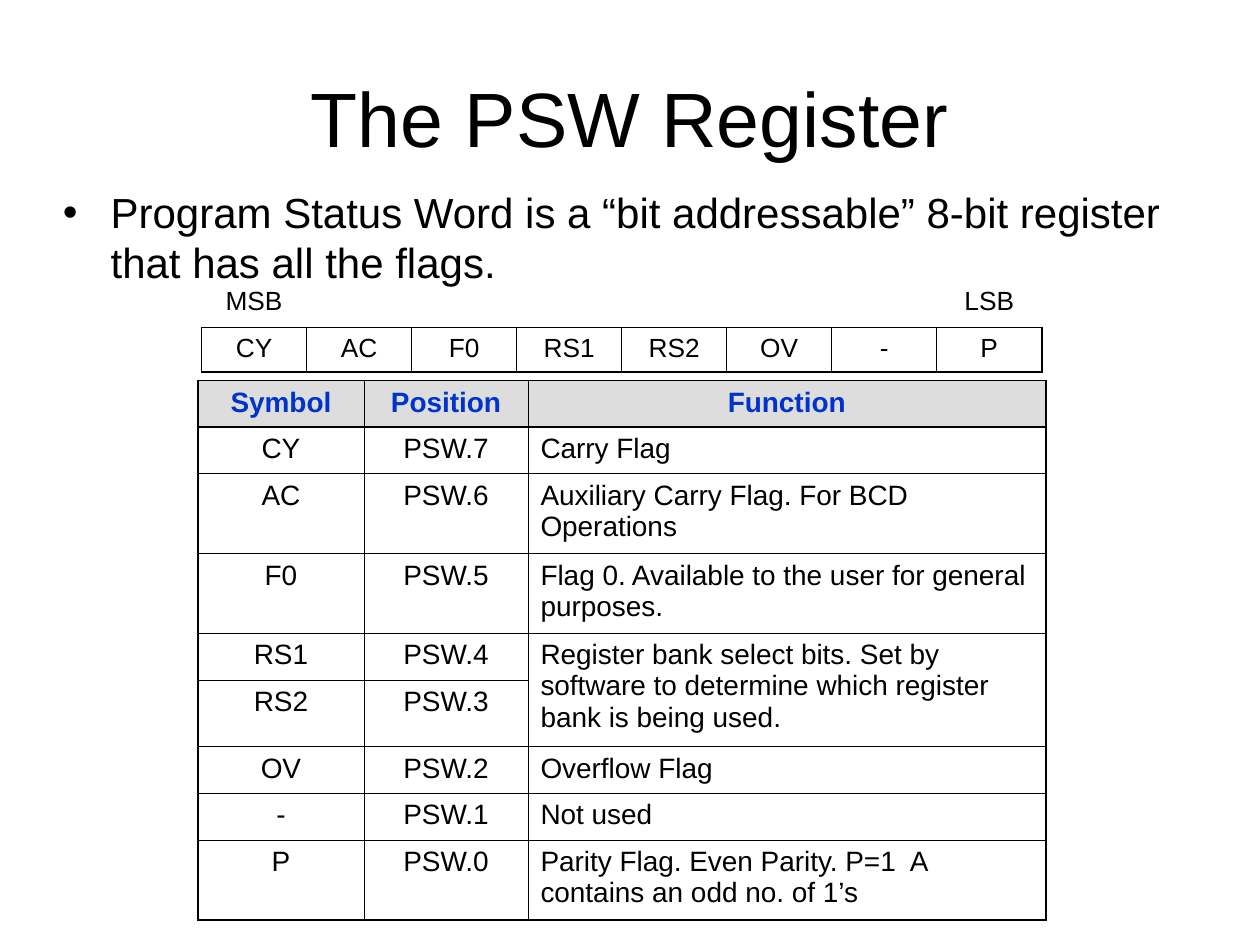
"""Build a slide that explains the PSW register with a bit layout and a symbol table."""
from lxml.etree import SubElement
from pptx import Presentation
from pptx.dml.color import RGBColor
from pptx.enum.text import MSO_ANCHOR as Anchor, PP_ALIGN as Align
from pptx.oxml.ns import qn
from pptx.util import Inches, Pt

COLORS = {"text": "000000", "header": "0033CC", "header_fill": "DDDDDD", "line": "000000"}
FONT = "Arial"
THICK, THIN = 1.08, 0.45
PLAIN_TABLE_STYLE = "{2D5ABB26-0587-4C30-8999-92F81FD0307C}"

TITLE = "The PSW Register"
SUMMARY = "Program Status Word is a “bit addressable” 8-bit register that has all the flags."
BITS = ["CY", "AC", "F0", "RS1", "RS2", "OV", "-", "P"]
BIT_ROWS = [["MSB"] + [""] * 6 + ["LSB"], BITS]
BIT_HEIGHTS = [0.37, 0.35]
HEADER = ["Symbol", "Position", "Function"]
FUNCTIONS = [
    "Carry Flag",
    "Auxiliary Carry Flag. For BCD Operations",
    "Flag 0. Available to the user for general purposes.",
    "Register bank select bits. Set by software to determine which register bank is being used.",
    "",
    "Overflow Flag",
    "Not used",
    "Parity Flag. Even Parity. P=1  A contains an odd no. of 1’s",
]
SYMBOL_ROWS = [HEADER] + [
    [symbol, f"PSW.{7 - index}", function]
    for index, (symbol, function) in enumerate(zip(BITS, FUNCTIONS))
]
SYMBOL_WIDTHS = [1.32, 1.3, 4.11]
SYMBOL_HEIGHTS = [0.37, 0.37, 0.63, 0.63, 0.37, 0.53, 0.37, 0.37, 0.63]
BANK_SELECT_ROW = 4


def write_text(frame, text, size, color="text", bold=False, align=Align.LEFT, bullet=False):
    frame.word_wrap = True
    paragraph = frame.paragraphs[0]
    paragraph.alignment = align
    if bullet:
        properties = paragraph._p.get_or_add_pPr()
        properties.set("marL", str(Inches(0.38)))
        properties.set("indent", str(Inches(-0.38)))
        SubElement(properties, qn("a:buFont"), typeface=FONT)
        SubElement(properties, qn("a:buChar"), char="•")
    if text:
        run = paragraph.add_run()
        run.text = text
        run.font.name = FONT
        run.font.size = Pt(size)
        run.font.bold = bold
        run.font.color.rgb = RGBColor.from_string(COLORS[color])
    else:
        SubElement(paragraph._p, qn("a:endParaRPr"), sz=str(size * 100))


def add_text(slide, text, left, top, width, height, anchor=Anchor.TOP, **text_format):
    frame = slide.shapes.add_textbox(*map(Inches, (left, top, width, height))).text_frame
    frame.vertical_anchor = anchor
    write_text(frame, text, **text_format)


def add_plain_table(slide, left, top, widths, heights):
    frame = slide.shapes.add_table(len(heights), len(widths), Inches(left), Inches(top),
                                   Inches(sum(widths)), Inches(sum(heights)))
    table = frame.table
    table.first_row = table.horz_banding = False
    table._tbl.tblPr.find(qn("a:tableStyleId")).text = PLAIN_TABLE_STYLE
    for column, width in zip(table.columns, widths):
        column.width = Inches(width)
    for row, height in zip(table.rows, heights):
        row.height = Inches(height)
    return table


def set_borders(cell, left, right, top, bottom):
    properties = cell._tc.get_or_add_tcPr()
    for side, thick in zip("LRTB", (left, right, top, bottom)):
        line = SubElement(properties, qn(f"a:ln{side}"), w=str(Pt(THICK if thick else THIN)))
        fill = SubElement(line, qn("a:solidFill"))
        SubElement(fill, qn("a:srgbClr"), val=COLORS["line"])


def add_bit_table(slide):
    table = add_plain_table(slide, 1.6, 2.23, [6.67 / len(BITS)] * len(BITS), BIT_HEIGHTS)
    for row, texts in enumerate(BIT_ROWS):
        for column, text in enumerate(texts):
            cell = table.cell(row, column)
            if row == 1:
                set_borders(cell, column == 0, column == len(BITS) - 1, True, True)
            cell.fill.background()
            write_text(cell.text_frame, text, size=15, align=Align.CENTER)


def add_symbol_table(slide):
    table = add_plain_table(slide, 1.57, 3.02, SYMBOL_WIDTHS, SYMBOL_HEIGHTS)
    last_row, last_column = len(SYMBOL_ROWS) - 1, len(HEADER) - 1
    for row, texts in enumerate(SYMBOL_ROWS):
        is_header = row == 0
        for column, text in enumerate(texts):
            cell = table.cell(row, column)
            set_borders(cell, column == 0, column == last_column, row <= 1, row in (0, last_row))
            if is_header:
                cell.fill.solid()
                cell.fill.fore_color.rgb = RGBColor.from_string(COLORS["header_fill"])
            else:
                cell.fill.background()
            centred = is_header or column < last_column
            write_text(cell.text_frame, text, size=16, bold=is_header,
                       color="header" if is_header else "text",
                       align=Align.CENTER if centred else Align.LEFT)
    table.cell(BANK_SELECT_ROW, last_column).merge(table.cell(BANK_SELECT_ROW + 1, last_column))


def main():
    presentation = Presentation()
    presentation.slide_width, presentation.slide_height = Inches(10), Inches(7.5)
    slide = presentation.slides.add_slide(presentation.slide_layouts[6])
    add_text(slide, TITLE, 0.5, 0.3, 9, 1.25, anchor=Anchor.MIDDLE, size=44, align=Align.CENTER)
    add_text(slide, SUMMARY, 0.4, 1.43, 9, 1.59, size=24, bullet=True)
    add_bit_table(slide)
    add_symbol_table(slide)
    presentation.save("out.pptx")


if __name__ == "__main__":
    main()
